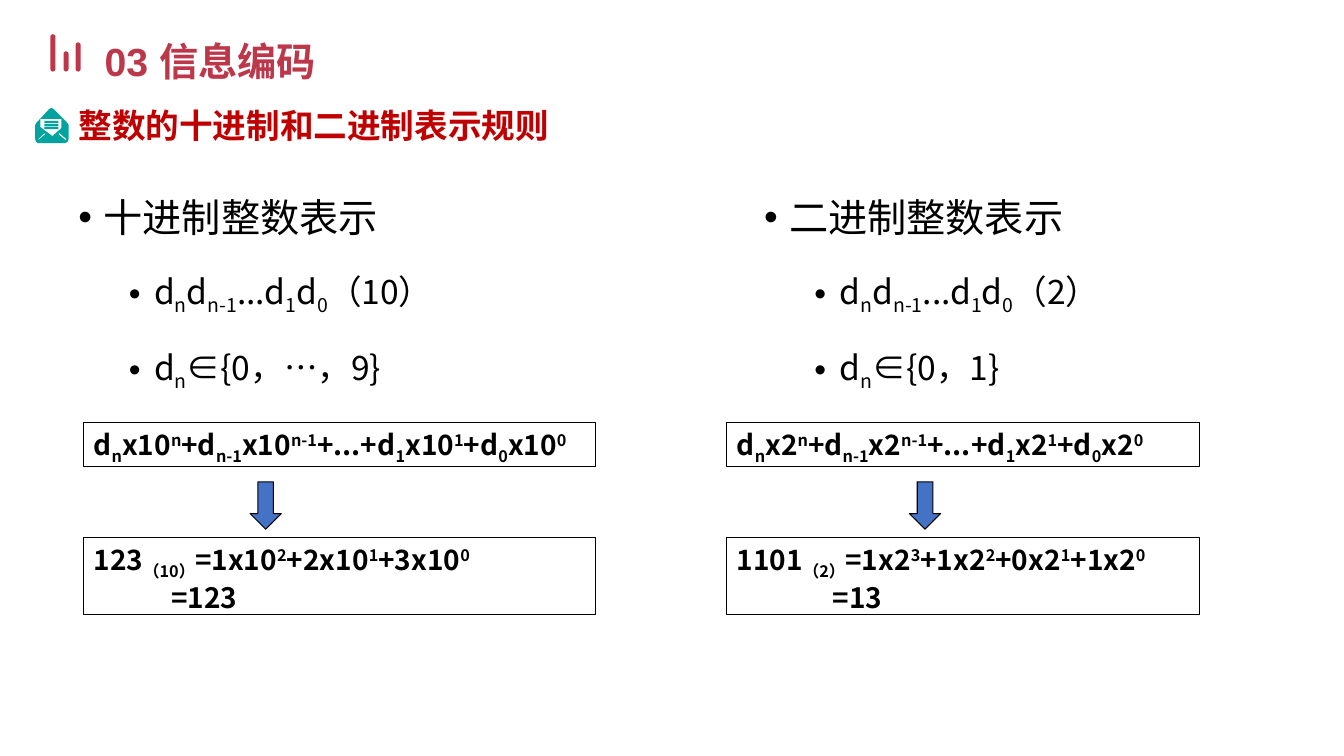
from dataclasses import dataclass
from typing import Any, Optional

from lxml import etree
from pptx import Presentation
from pptx.dml.color import RGBColor
from pptx.enum.shapes import MSO_SHAPE as Shape
from pptx.enum.text import MSO_ANCHOR as Anchor, MSO_AUTO_SIZE as AutoSize, PP_ALIGN as Align
from pptx.oxml.ns import qn
from pptx.util import Inches, Pt


@dataclass(frozen=True)
class Theme:
    latin: str = "Arial"
    cjk: str = "Noto Sans CJK SC"
    brand: str = "BD374A"
    heading: str = "C00000"
    ink: str = "000000"
    envelope: str = "00A39E"
    arrow: str = "4472C4"
    title_size: int = 28
    body_size: int = 24
    formula_size: int = 20
    outline: float = 0.75


@dataclass(frozen=True)
class Line:
    """Markup: parts split by "|"; a leading _ or ^ makes a sub- or superscript."""
    markup: str
    size: int
    color: str
    font: str
    bold: bool = False
    level: int = 0
    margin: float = 0
    bullet: bool = False
    spacing: Optional[float] = None
    before: float = 0


@dataclass(frozen=True)
class NumberSystem:
    name: str
    base: str
    digits: str
    example: str
    result: str
    result_indent: float
    list_left: float
    box_left: float
    box_width: float
    arrow_left: float


THEME = Theme()
BASELINES = {"_": "-25000", "^": "30000"}
SYSTEMS = [
    NumberSystem("十进制整数表示", "10", "0，…，9",
                 "123|_（10）|=1x10|^2|+2x10|^1|+3x10|^0", "=123", 0.77,
                 0.68, 0.83, 5.08, 2.48),
    NumberSystem("二进制整数表示", "2", "0，1",
                 "1101|_（2）|=1x2|^3|+1x2|^2|+0x2|^1|+1x2|^0", "=13", 0.95,
                 7.48, 7.21, 4.69, 9.02),
]
BARS = [(0.5, 0.34, 0.37), (0.63, 0.51, 0.2), (0.75, 0.42, 0.29)]

# Envelope outlines in hundredths of an inch
ENVELOPE = [
    [(67, 122), (68, 124), (68, 138), (67, 141), (64, 142), (38, 142), (36, 141),
     (35, 138), (35, 124), (36, 122), (49, 108), (51, 107), (53, 108)],
    [(40, 118), (40, 126), (52, 135), (61, 127), (61, 118)],
    *[[(44, y), (44, y + 2), (58, y + 2), (58, y)] for y in (120, 123, 126)],
    [(38, 139), (45, 133), (44, 132), (38, 138)],
    [(66, 138), (59, 132), (58, 133), (65, 139)],
]


def apply(target: Any, values: dict[str, Any]) -> None:
    for name, value in values.items():
        setattr(target, name, value)


def paint(shape: Any, fill: Optional[str], line: Optional[str] = None) -> None:
    shape.shadow.inherit = False
    if fill:
        shape.fill.solid()
        shape.fill.fore_color.rgb = RGBColor.from_string(fill)
    else:
        shape.fill.background()
    if line:
        shape.line.color.rgb = RGBColor.from_string(line)
        shape.line.width = Pt(THEME.outline)
    else:
        shape.line.fill.background()


def write_line(paragraph: Any, line: Line) -> None:
    apply(paragraph, {"level": line.level, "alignment": Align.LEFT,
                      "line_spacing": line.spacing, "space_before": Pt(line.before)})
    properties = paragraph._p.get_or_add_pPr()
    properties.set("marL", str(Inches(line.margin)))
    properties.set("indent", str(Inches(-0.25 if line.bullet else 0)))
    if line.bullet:
        etree.SubElement(properties, qn("a:buFont"), typeface=THEME.latin)
        etree.SubElement(properties, qn("a:buChar"), char="•")
    for part in line.markup.split("|"):
        run = paragraph.add_run()
        run.text = part.lstrip("_^")
        apply(run.font, {"size": Pt(line.size), "bold": line.bold, "name": line.font})
        run.font.color.rgb = RGBColor.from_string(line.color)
        run_properties = run._r.get_or_add_rPr()
        etree.SubElement(run_properties, qn("a:ea"), typeface=THEME.cjk)
        if part[0] in BASELINES:
            run_properties.set("baseline", BASELINES[part[0]])


def write(shape: Any, lines: list[Line], grow: bool = True, wrap: bool = True) -> None:
    frame = shape.text_frame
    apply(frame, {"word_wrap": wrap, "vertical_anchor": Anchor.TOP,
                  "auto_size": AutoSize.SHAPE_TO_FIT_TEXT if grow else AutoSize.NONE})
    for index, line in enumerate(lines):
        write_line(frame.add_paragraph() if index else frame.paragraphs[0], line)


def place(left: float, top: float, width: float, height: float) -> tuple[int, ...]:
    return tuple(Inches(value) for value in (left, top, width, height))


def draw_envelope(shapes: Any) -> None:
    outer, *inner = ENVELOPE
    builder = shapes.build_freeform(*outer[0], scale=Inches(0.01))
    builder.add_line_segments(outer[1:], close=True)
    for outline in inner:
        builder.move_to(*outline[0])
        builder.add_line_segments(outline[1:], close=True)
    paint(builder.convert_to_shape(), THEME.envelope)


def draw_header(shapes: Any) -> None:
    for left, top, height in BARS:
        bar = shapes.add_shape(Shape.ROUNDED_RECTANGLE, *place(left, top, 0.05, height))
        bar.adjustments[0] = 0.5
        paint(bar, THEME.brand)
    write(shapes.add_textbox(*place(0.94, 0.2, 4.54, 0.69)),
          [Line("03 信息编码", THEME.title_size, THEME.brand, THEME.latin, True, spacing=1.25)])
    draw_envelope(shapes)
    write(shapes.add_textbox(*place(0.68, 0.99, 4.94, 0.5)),
          [Line("整数的十进制和二进制表示规则", THEME.body_size, THEME.heading, THEME.cjk, True)],
          wrap=False)


def bullet(markup: str, level: int) -> Line:
    size, before = ((THEME.title_size, 10), (THEME.body_size, 5))[level]
    return Line(markup, size, THEME.ink, THEME.cjk, level=level, margin=0.25 + 0.5 * level,
                bullet=True, spacing=1.5, before=before)


def formula(markup: str, margin: float = 0) -> Line:
    return Line(markup, THEME.formula_size, THEME.ink, THEME.cjk, True, level=1, margin=margin)


def draw_system(shapes: Any, system: NumberSystem) -> None:
    rules = [bullet(system.name, 0),
             bullet(f"d|_n|d|_n-1|...d|_1|d|_0|（{system.base}）", 1),
             bullet(f"d|_n|∈{{{system.digits}}}", 1)]
    write(shapes.add_textbox(*place(system.list_left, 1.64, 4.33, 2.27)), rules, grow=False)

    terms = [f"d|_{power}|x{system.base}|^{power}" for power in ("n", "n-1", "1", "0")]
    expansion = f"{terms[0]}|+{terms[1]}|+...+{terms[2]}|+{terms[3]}"
    worked = [formula(system.example), formula(system.result, system.result_indent)]
    for top, height, lines in ((4.19, 0.44, [formula(expansion)]), (5.33, 0.77, worked)):
        box = shapes.add_shape(Shape.RECTANGLE,
                               *place(system.box_left, top, system.box_width, height))
        paint(box, None, THEME.ink)
        write(box, lines)
    arrow = shapes.add_shape(Shape.DOWN_ARROW, *place(system.arrow_left, 4.78, 0.31, 0.47))
    paint(arrow, THEME.arrow, THEME.ink)


def main() -> None:
    deck = Presentation()
    apply(deck, {"slide_width": Inches(13.33), "slide_height": Inches(7.5)})
    shapes = deck.slides.add_slide(deck.slide_layouts[6]).shapes
    draw_header(shapes)
    for system in SYSTEMS:
        draw_system(shapes, system)
    deck.save("out.pptx")


if __name__ == "__main__":
    main()
